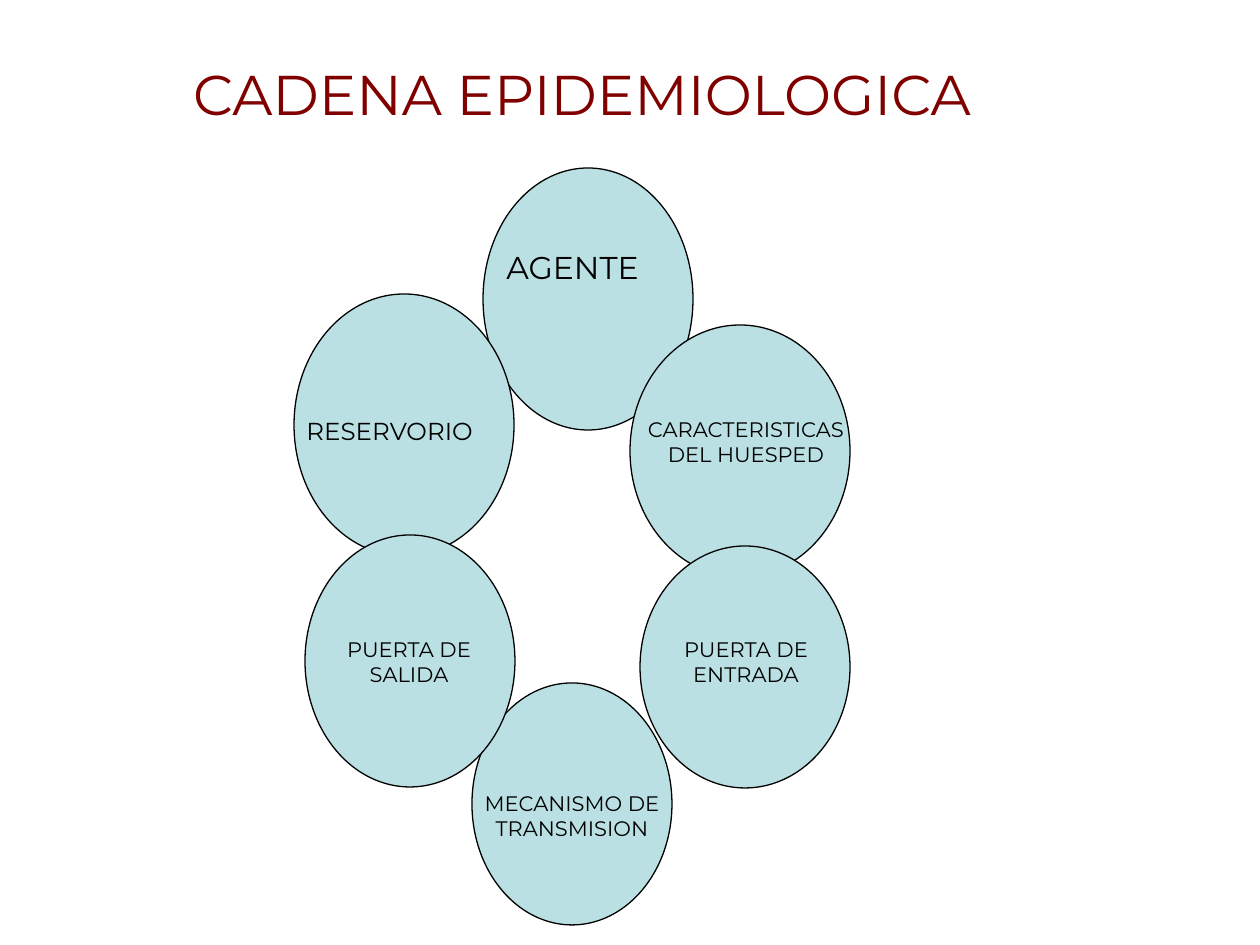
from pptx import Presentation
from pptx.dml.color import RGBColor
from pptx.enum.shapes import MSO_SHAPE as Shape
from pptx.enum.text import MSO_ANCHOR as Anchor, MSO_AUTO_SIZE as AutoSize, PP_ALIGN as Align
from pptx.util import Pt

FONT = "Montserrat"
BLACK, MAROON, PALE_BLUE = "000000", "800000", "BBE0E3"
LINKS = [
    (483, 168, 210, 262),
    (630, 325, 220, 252),
    (640, 546, 210, 242),
    (472, 683, 200, 242),
    (294, 294, 220, 262),
    (305, 535, 210, 252),
]
LABELS = [
    ("AGENTE", (494, 242, 179, 50), 18, Align.LEFT),
    ("CARACTERISTICAS DEL HUESPED", (620, 410, 252, 63), 12, Align.CENTER),
    ("PUERTA DE ENTRADA", (662, 630, 168, 63), 12, Align.CENTER),
    ("MECANISMO DE TRANSMISION", (472, 784, 200, 63), 12, Align.CENTER),
    ("PUERTA DE SALIDA", (325, 630, 168, 63), 12, Align.CENTER),
    ("RESERVORIO", (294, 410, 220, 43), 14, Align.LEFT),
]


def px(length):
    """Turn px at 126 to the inch into EMU."""
    return round(length * 914400 / 126)


def color(value):
    """Turn a hex string into a colour."""
    return RGBColor.from_string(value)


def write(frame, text, size, fill, align):
    """Write one formatted run into a text frame."""
    frame.word_wrap = True
    paragraph = frame.paragraphs[0]
    paragraph.alignment = align
    run = paragraph.add_run()
    run.text = text
    run.font.name = FONT
    run.font.size = Pt(size)
    run.font.color.rgb = color(fill)


def add_title(slide, text):
    """Place the title, set slightly left of its box centre."""
    title = slide.shapes.title
    title.left, title.top, title.width, title.height = map(px, (84, 38, 1029, 110))
    frame = title.text_frame
    frame.auto_size = AutoSize.NONE
    frame.vertical_anchor = Anchor.MIDDLE
    frame.margin_right = px(45)
    write(frame, text, 32, MAROON, Align.CENTER)


def add_link(slide, box):
    """Add one outlined ellipse of the chain."""
    shape = slide.shapes.add_shape(Shape.OVAL, *map(px, box))
    shape.shadow.inherit = False
    shape.fill.solid()
    shape.fill.fore_color.rgb = color(PALE_BLUE)
    shape.line.color.rgb = color(BLACK)
    shape.line.width = Pt(0.75)


def add_label(slide, text, box, size, align):
    """Add the label of one link."""
    frame = slide.shapes.add_textbox(*map(px, box)).text_frame
    frame.auto_size = AutoSize.SHAPE_TO_FIT_TEXT
    write(frame, text, size, BLACK, align)


def main():
    """Build and save the slide."""
    presentation = Presentation()
    presentation.slide_width, presentation.slide_height = px(1260), px(945)
    slide = presentation.slides.add_slide(presentation.slide_layouts[5])
    add_title(slide, "CADENA EPIDEMIOLOGICA")
    for box in LINKS:
        add_link(slide, box)
    for label in LABELS:
        add_label(slide, *label)
    presentation.save("out.pptx")


if __name__ == "__main__":
    main()
